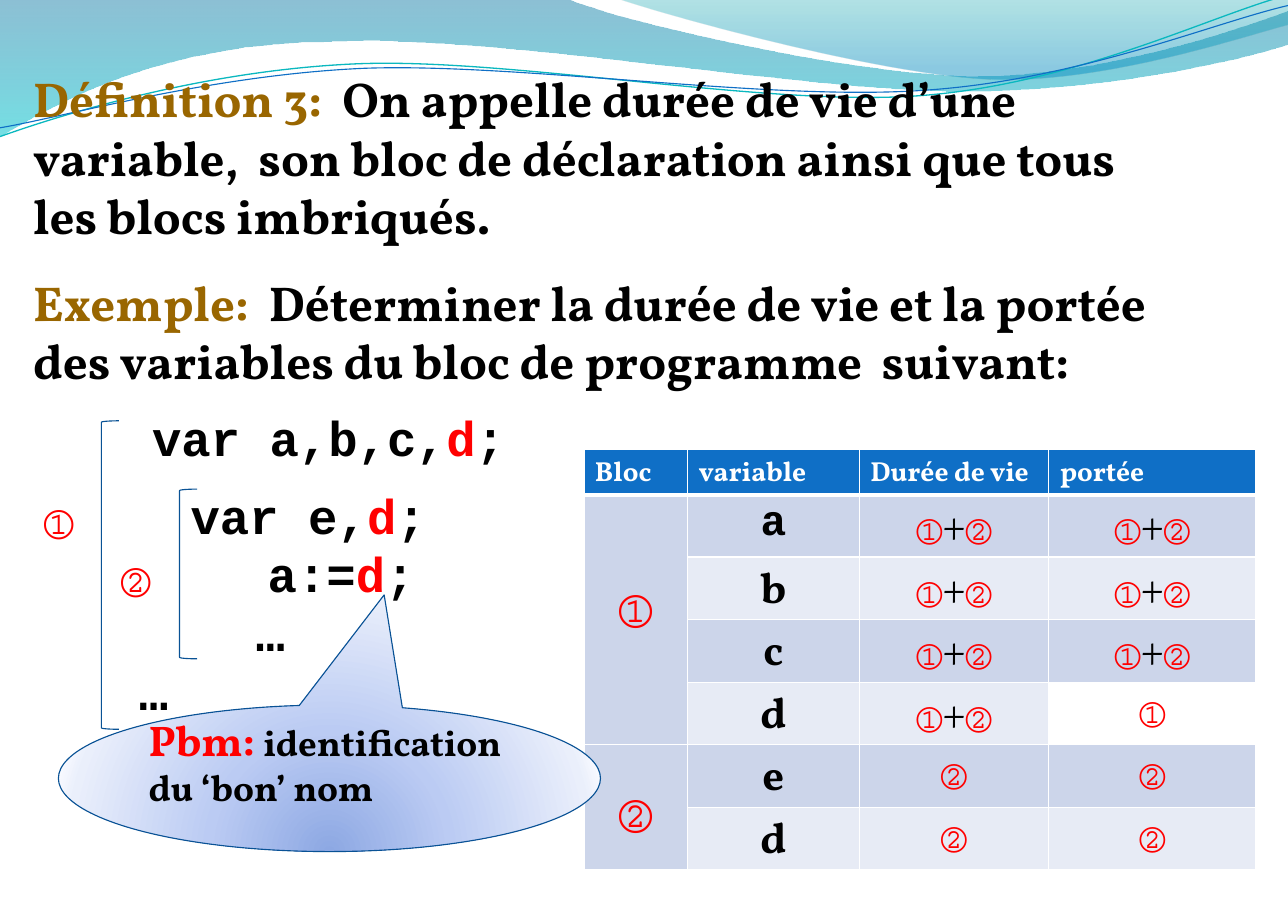
from lxml import etree
from pptx import Presentation
from pptx.dml.color import RGBColor
from pptx.enum.shapes import MSO_SHAPE as Shape
from pptx.enum.text import MSO_ANCHOR as Anchor, PP_ALIGN as Align
from pptx.oxml import parse_xml
from pptx.oxml.ns import nsdecls, qn
from pptx.util import Inches, Pt

SERIF, MONO = "Vollkorn", "Courier New"
BLACK, RED, GOLD, WHITE = "000000", "FF0000", "996600", "FFFFFF"
BLUE, DARK_BLUE = "0F6FC6", "095295"
hex_color = RGBColor.from_string


def write(para, text, size=32, color=BLACK, font=SERIF, bold=True):
    span = para.add_run()
    span.text = text
    span.font.size = Pt(size)
    span.font.name = font
    span.font.bold = bold
    span.font.color.rgb = hex_color(color)


def fill_gradient(shape, stops, direction):
    shape.fill.gradient()
    gradient = shape._element.spPr.find(qn("a:gradFill"))
    marks = "".join(
        f'<a:gs pos="{position * 1000}"><a:srgbClr val="{color}">'
        f'<a:alpha val="{opacity * 1000}"/></a:srgbClr></a:gs>'
        for position, color, opacity in stops)
    new = parse_xml(f'<a:gradFill {nsdecls("a")} rotWithShape="1">'
                    f"<a:gsLst>{marks}</a:gsLst>{direction}</a:gradFill>")
    gradient.getparent().replace(gradient, new)


deck = Presentation()
deck.slide_width, deck.slide_height = Inches(11.69), Inches(8.26)
page = deck.slides.add_slide(deck.slide_layouts[6])

wide_wave = [
    [(0, 0)],
    [(5.15, -0.01), (5.56, 0.18), (7.76, 0.69), (8.87, 0.69),
     (9.98, 0.69), (11.21, 0.28), (11.69, 0.1)],
    [(11.7, 0.4), (11.5, 0.48), (10.17, 0.83), (8.72, 0.83),
     (7.27, 0.83), (4.46, 0.31), (3.01, 0.38),
     (1.51, 0.39), (0.54, 0.91), (-0.01, 1.25)],
]
right_wave = [
    [(5.6, -0.01), (5.96, 0.12), (7.97, 0.68), (8.99, 0.72),
     (10, 0.76), (11.24, 0.35), (11.69, 0.23)],
    [(11.69, 0)],
]
teal_line = [[(0, 1.24), (0.56, 1.04), (1.84, 0.64), (3.23, 0.58),
              (4.62, 0.52), (6.93, 0.97), (8.33, 0.87),
              (9.74, 0.77), (10.97, 0.15), (11.67, -0.04)]]
blue_line = [[(0, 1.16), (0.55, 1.07), (1.91, 0.68), (3.31, 0.62),
              (4.71, 0.57), (6.98, 0.92), (8.38, 0.82),
              (9.78, 0.73), (11, 0.21), (11.69, 0.05)]]
waves = [
    (wide_wave, [(0, "0074A1", 45), (100, "00C6CF", 55)], None, 0),
    (right_wave, [(0, "00A1A9", 30), (80, "008BBF", 45)], None, 0),
    (teal_line, None, "0AB8BF", 0.85),
    (blue_line, None, BLUE, 0.75),
]
for chains, stops, line_color, width in waves:
    corners = [(Inches(x), Inches(y)) for chain in chains for x, y in chain]
    builder = page.shapes.build_freeform(*corners[0])
    builder.add_line_segments(corners[1:], close=bool(stops))
    wave = builder.convert_to_shape()
    segments = list(wave._element.iter(qn("a:moveTo"), qn("a:lnTo")))
    start = 0
    for chain in chains:
        for first in range(start + 1, start + len(chain), 3):
            curve = etree.Element(qn("a:cubicBezTo"))
            segments[first].addprevious(curve)
            for segment in segments[first:first + 3]:
                curve.append(segment[0])
                segment.getparent().remove(segment)
        start += len(chain)
    wave.shadow.inherit = False
    if stops:
        fill_gradient(wave, stops, '<a:lin ang="5400000" scaled="1"/>')
        wave.line.fill.background()
    else:
        wave.fill.background()
        wave.line.color.rgb = hex_color(line_color)
        wave.line.width = Pt(width)

box = page.shapes.add_textbox(Inches(0.3), Inches(0.62), Inches(11.09), Inches(7.03))
frame = box.text_frame
frame.word_wrap = True
frame.margin_left = frame.margin_right = frame.margin_top = frame.margin_bottom = 0
lines = [
    (SERIF, 0, 0, 0, [("Définition 3:  ", GOLD), ("On appelle durée de vie d’une ", BLACK)]),
    (SERIF, 0, 0, 0, [("variable,  son bloc de déclaration ainsi que tous ", BLACK)]),
    (SERIF, 0, 0, 18, [("les blocs imbriqués.", BLACK)]),
    (SERIF, 0, 0, 0, [("Exemple: ", GOLD), (" Déterminer la durée de vie et la portée", BLACK)]),
    (SERIF, 0, 0, 12, [("des variables du bloc de programme  suivant:", BLACK)]),
    (MONO, 1.08, 1.08, 12, [("var a,b,c,", BLACK), ("d", RED), (";", BLACK)]),
    (MONO, 0.1, 1.43, 0, [("①\t", RED), ("var e,", BLACK), ("d", RED), (";", BLACK)]),
    (MONO, 0.8, 2.13, 0, [("②\t", RED), ("a:=", BLACK), ("d", RED), (";", BLACK)]),
    (MONO, 2.02, 2.02, 0, [("…", BLACK)]),
    (MONO, 0.96, 0.96, 0, [("…", BLACK)]),
]
for index, (font, start, margin, after, spans) in enumerate(lines):
    para = frame.paragraphs[0] if index == 0 else frame.add_paragraph()
    para.line_spacing = Pt(38.4)
    para.space_after = Pt(after)
    properties = para._p.get_or_add_pPr()
    properties.set("marL", str(Inches(margin)))
    properties.set("indent", str(Inches(start - margin)))
    for text, color in spans:
        write(para, text, color=color, font=font)

for left, top, height in [(0.92, 3.82, 2.8), (1.63, 4.44, 1.54)]:
    bracket = page.shapes.add_shape(Shape.LEFT_BRACKET, Inches(left), Inches(top),
                                    Inches(0.16), Inches(height))
    bracket.shadow.inherit = False
    bracket.fill.background()
    bracket.line.color.rgb = hex_color(DARK_BLUE)
    bracket.line.width = Pt(0.75)

rows = [
    ("Bloc", "variable", "Durée de vie", "portée"),
    ("①", "a", "①+②", "①+②"),
    ("", "b", "①+②", "①+②"),
    ("", "c", "①+②", "①+②"),
    ("", "d", "①+②", "①"),
    ("②", "e", "②", "②"),
    ("", "d", "②", "②"),
]
table = page.shapes.add_table(7, 4, Inches(5.3), Inches(4.08), Inches(6.1), Inches(2.87)).table
for column, width in zip(table.columns, (0.94, 1.56, 1.72, 1.88)):
    column.width = Inches(width)
for r, values in enumerate(rows):
    table.rows[r].height = Inches(0.41)
    for c, value in enumerate(values):
        cell = table.cell(r, c)
        if (r, c) == (4, 3):
            cell.fill.background()
        else:
            cell.fill.solid()
            band = "CCD5EA" if c == 0 or r % 2 else "E7EBF5"
            cell.fill.fore_color.rgb = hex_color(band if r else BLUE)
        for position, side in enumerate(("lnL", "lnR", "lnT", "lnB")):
            width = 3 if (r, side) in ((0, "lnB"), (1, "lnT")) else 1
            border = parse_xml(f'<a:{side} {nsdecls("a")} w="{Pt(width)}"><a:solidFill>'
                               f'<a:srgbClr val="{WHITE}"/></a:solidFill></a:{side}>')
            cell._tc.get_or_add_tcPr().insert(position, border)
        para = cell.text_frame.paragraphs[0]
        if r == 0:
            write(para, value, size=18, color=WHITE)
            continue
        para.alignment = Align.CENTER
        for sign in value:
            if sign in "①②":
                write(para, sign, size=28 if c else 36, color=RED, font=MONO)
            else:
                write(para, sign, size=28, font=MONO if sign == "a" else SERIF, bold=sign != "+")
for first, last, margin in [(1, 4, 0.74), (5, 6, 0.34)]:
    table.cell(first, 0).merge(table.cell(last, 0))
    table.cell(first, 0).margin_top = Inches(margin)

callout = page.shapes.add_shape(Shape.OVAL_CALLOUT, Inches(0.53), Inches(6.4),
                                Inches(4.92), Inches(1.33))
callout.shadow.inherit = False
callout.adjustments[0], callout.adjustments[1] = 0.101, -1.252
callout.line.color.rgb = hex_color(DARK_BLUE)
callout.line.width = Pt(0.75)
fill_gradient(callout,
              [(0, "8DA8E3", 100), (43, "BBCBF3", 100), (93, "EAEFFB", 100), (100, "F7F9FF", 100)],
              '<a:path path="circle"><a:fillToRect l="50000" t="130000" r="50000" b="-30000"/></a:path>')
frame = callout.text_frame
frame.word_wrap = True
frame.vertical_anchor = Anchor.MIDDLE
frame.margin_bottom = Inches(0.36)
problem, name = frame.paragraphs[0], frame.add_paragraph()
problem.alignment = name.alignment = Align.LEFT
write(problem, "Pbm: ", size=28, color=RED)
write(problem, "identification ", size=24)
write(name, "du ‘bon’ nom", size=24)

deck.save("out.pptx")
